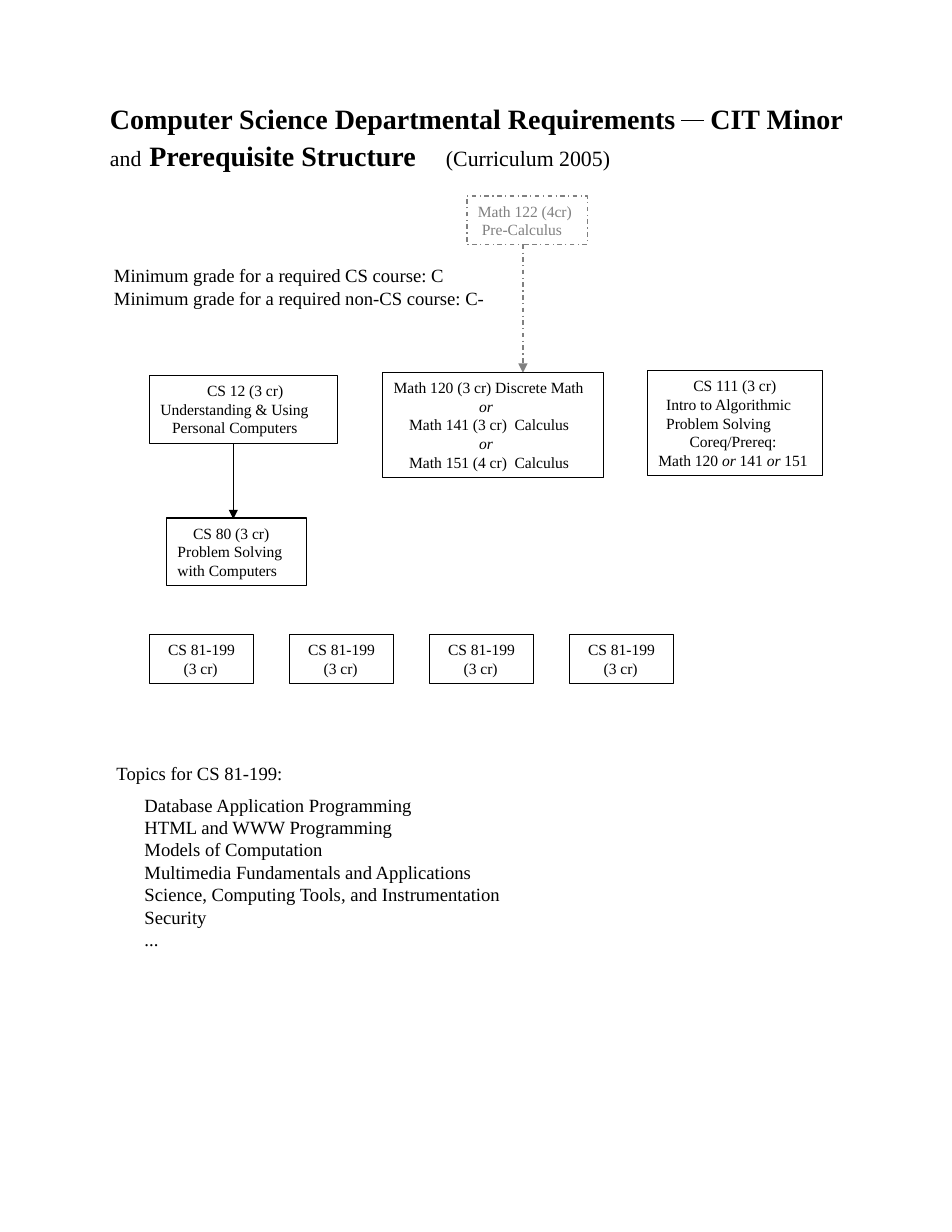
from pptx import Presentation
from pptx.dml.color import RGBColor
from pptx.enum.dml import MSO_LINE
from pptx.enum.shapes import MSO_CONNECTOR, MSO_SHAPE
from pptx.enum.text import MSO_ANCHOR, MSO_AUTO_SIZE, PP_ALIGN
from pptx.oxml.ns import qn
from pptx.util import Pt
from lxml.etree import SubElement

FONT = "Times New Roman"
BLACK, GRAY = "000000", "808080"
FRAME = {"word_wrap": True, "auto_size": MSO_AUTO_SIZE.NONE, "vertical_anchor": MSO_ANCHOR.TOP}
PARAGRAPH = {"alignment": PP_ALIGN.LEFT, "space_before": Pt(0), "space_after": Pt(0)}


def color(value):
    return RGBColor.from_string(value)


def set_all(target, values):
    for name, value in values.items():
        setattr(target, name, value)


def place(shape, box):
    set_all(shape, dict(zip(("left", "top", "width", "height"), map(Pt, box))))


def format_frame(shape, side=7.2, edge=3.6):
    frame = shape.text_frame
    set_all(frame, FRAME)
    set_all(frame, {"margin_left": Pt(side), "margin_right": Pt(side),
                    "margin_top": Pt(edge), "margin_bottom": Pt(edge)})
    return frame


def add_run(paragraph, text, size, ink=BLACK, bold=False, italic=False):
    run = paragraph.add_run()
    run.text = text
    set_all(run.font, {"name": FONT, "size": Pt(size), "bold": bold, "italic": italic})
    run.font.color.rgb = color(ink)


def format_paragraph(paragraph, indent=0, tab=None):
    set_all(paragraph, PARAGRAPH)
    properties = paragraph._p.get_or_add_pPr()
    properties.set("marL", str(Pt(indent)))
    properties.set("indent", "0")
    SubElement(properties, qn("a:buNone"))
    if tab:
        tabs = SubElement(properties, qn("a:tabLst"))
        SubElement(tabs, qn("a:tab"), pos=str(Pt(tab)), algn="l")


def write_lines(frame, lines, size, ink=BLACK, bold=False):
    for index, (indent, text) in enumerate(lines):
        paragraph = frame.add_paragraph() if index else frame.paragraphs[0]
        format_paragraph(paragraph, indent)
        for part, words in enumerate(text.split("*")):
            if words:
                add_run(paragraph, words, size, ink, bold, italic=part % 2 == 1)


def add_line(slide, start, end, ink=BLACK, dash=None, arrow=True):
    line = slide.shapes.add_connector(MSO_CONNECTOR.STRAIGHT, *map(Pt, start + end))
    line.line.color.rgb = color(ink)
    set_all(line.line, {"width": Pt(0.75), "dash_style": dash})
    if arrow:
        SubElement(line.line._get_or_add_ln(), qn("a:tailEnd"), type="triangle")
    SubElement(line._element.spPr, qn("a:effectLst"))


def add_course(slide, box, lines, ink=BLACK, dash=None):
    course = slide.shapes.add_shape(MSO_SHAPE.RECTANGLE, *map(Pt, box))
    course.shadow.inherit = False
    course.fill.background()
    course.line.color.rgb = color(ink)
    set_all(course.line, {"width": Pt(0.75), "dash_style": dash})
    write_lines(format_frame(course), lines, 10, ink)


def add_heading(slide, box):
    left, top, width, height = box
    title = slide.shapes.title
    place(title, (left, top, 384, height))
    frame = format_frame(title, 7.92, 4.32)
    write_lines(frame, [(0, "Computer Science Departmental Requirements")], 18, bold=True)
    second = frame.add_paragraph()
    format_paragraph(second, tab=258)
    for text, size, bold in (("and", 14, False), (" ", 20, True),
                             ("Prerequisite Structure", 18, True),
                             ("\t(Curriculum 2005)", 14, False)):
        add_run(second, text, size, bold=bold)
    minor = slide.shapes.add_textbox(Pt(left + 386), Pt(top), Pt(width - 386), Pt(29.5))
    write_lines(format_frame(minor, 7.92, 4.32), [(0, "CIT Minor")], 18, bold=True)
    add_line(slide, (left + 375, top + 16.6), (left + 390, top + 16.6), arrow=False)


def add_grades(slide, box):
    grades = slide.shapes.add_textbox(*map(Pt, box))
    write_lines(format_frame(grades), [
        (0, "Minimum grade for a required CS course: C"),
        (0, "Minimum grade for a required non-CS course: C-")], 12)


def add_prerequisites(slide, box):
    left, top = box[:2]
    add_course(slide, (left + 204.2, top, 77.3, 31.2),
               [(0, "Math 122 (4cr)"), (2.5, "Pre-Calculus")], GRAY, MSO_LINE.DASH_DOT)
    add_line(slide, (left + 240.2, top + 31.2), (left + 240.2, top + 113.6),
             GRAY, MSO_LINE.DASH_DOT)
    add_course(slide, (left, top + 115.4, 121, 43.5),
               [(30, "CS 12 (3 cr)"), (0, "Understanding & Using"), (7.5, "Personal Computers")])
    add_line(slide, (left + 54, top + 158.9), (left + 54, top + 207.7))
    add_course(slide, (left + 11, top + 207, 90, 43.5),
               [(10, "CS 80 (3 cr)"), (0, "Problem Solving"), (0, "with Computers")])
    add_course(slide, (left + 150, top + 113.4, 142, 67.4),
               [(0, "Math 120 (3 cr) Discrete Math"), (55, "*or*"),
                (10, "Math 141 (3 cr)  Calculus"), (55, "*or*"),
                (10, "Math 151 (4 cr)  Calculus")])
    add_course(slide, (left + 320.2, top + 112.4, 112.6, 67.4),
               [(22.5, "CS 111 (3 cr)"), (5, "Intro to Algorithmic"), (5, "Problem Solving"),
                (20, "Coreq/Prereq:"), (0, "Math 120 *or* 141 *or* 151")])


def add_electives(slide, box, count=4, gap=23):
    left, top, width, height = box
    course_width = (width - gap * (count - 1)) / count
    for index in range(count):
        add_course(slide, (left + index * (course_width + gap), top, course_width, height),
                   [(5, "CS 81-199"), (15, "(3 cr)")])


def add_topics(slide, box):
    topics = slide.placeholders[1]
    place(topics, box)
    names = ("Database Application Programming", "HTML and WWW Programming",
             "Models of Computation", "Multimedia Fundamentals and Applications",
             "Science, Computing Tools, and Instrumentation", "Security", "...")
    frame = format_frame(topics)
    write_lines(frame, [(0, "Topics for CS 81-199:")] + [(18, name) for name in names], 12)
    frame.paragraphs[0].space_after = Pt(6)


def main():
    presentation = Presentation()
    set_all(presentation, {"slide_width": Pt(612), "slide_height": Pt(792)})
    slide = presentation.slides.add_slide(presentation.slide_layouts[1])
    add_heading(slide, (62.8, 61, 489, 53.5))
    add_grades(slide, (66.2, 166.3, 253, 36))
    add_prerequisites(slide, (96, 126, 432.8, 250.5))
    add_electives(slide, (96, 408, 337, 31.7))
    add_topics(slide, (67.7, 486, 262, 129))
    presentation.save("out.pptx")


if __name__ == "__main__":
    main()
